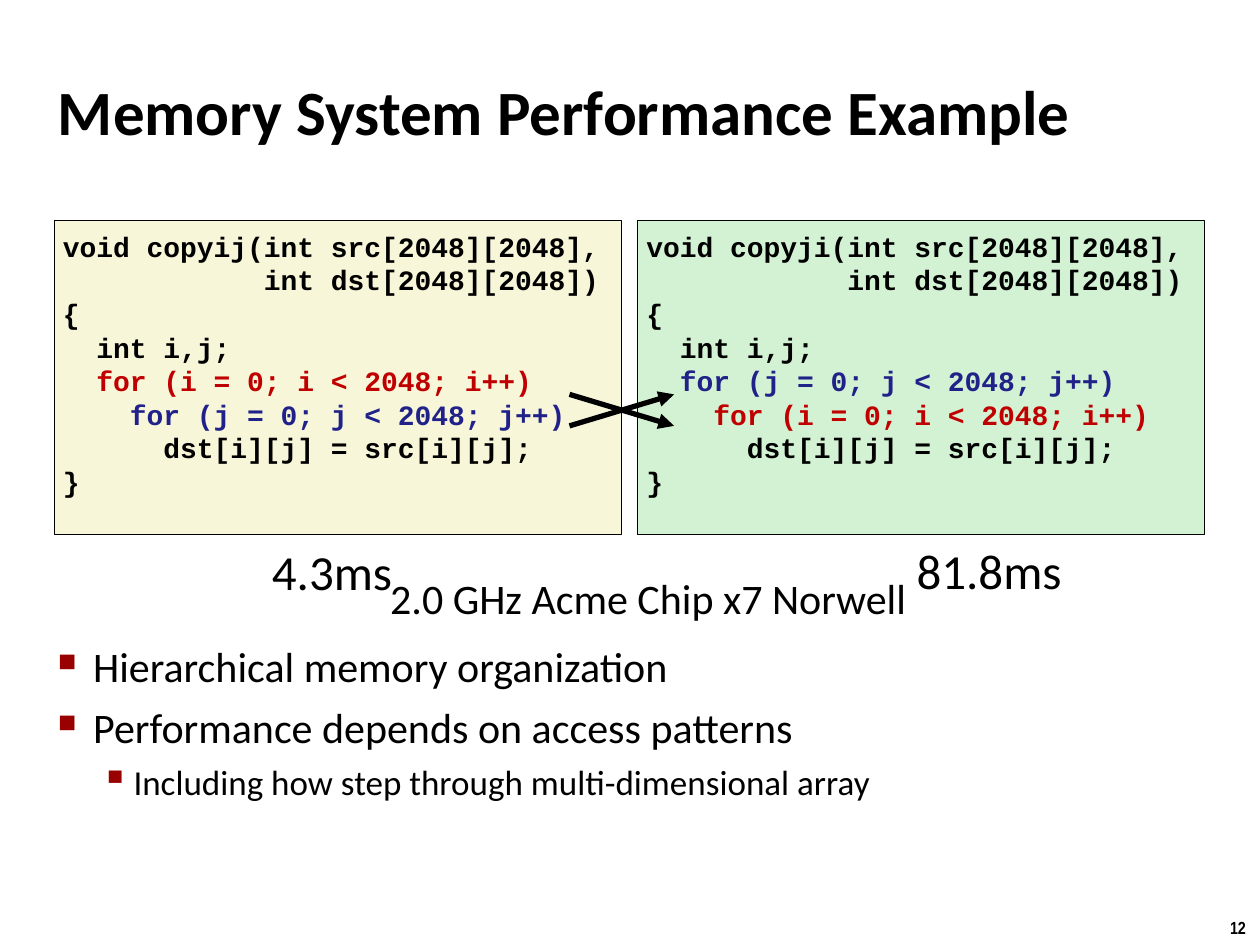
from lxml.etree import SubElement
from pptx import Presentation
from pptx.dml.color import RGBColor
from pptx.enum.shapes import MSO_CONNECTOR, MSO_SHAPE
from pptx.enum.text import MSO_ANCHOR as Anchor, MSO_AUTO_SIZE as AutoSize, PP_ALIGN as Align
from pptx.oxml.ns import qn
from pptx.util import Inches, Pt

BLACK, RED, BLUE, BULLET_RED = "000000", "C00000", "21218A", "990000"
CREAM, MINT = "F8F6D9", "D3F2D3"
BODY_FONT, CODE_FONT, NUMBER_FONT = "Calibri", "Courier New", "Arial Narrow"
LEFT, CONTENT_WIDTH = 0.42, 9.17
CODE_TOP, CODE_WIDTH, CODE_HEIGHT = 1.75, 4.5, 2.49
LOOP_COLORS = {"i": RED, "j": BLUE}


def rgb(value):
    return RGBColor.from_string(value)


class SlideBuilder:
    def __init__(self, slide):
        self.slide = slide

    def style(self, font, size, name=BODY_FONT, bold=False, color=BLACK):
        font.name, font.size, font.bold = name, Pt(size), bold
        font.color.rgb = rgb(color)

    def frame(self, shape, inset, wrap=True, anchor=Anchor.TOP):
        """Set the margins and wrapping of a shape's text and return its frame."""
        frame = shape.text_frame
        frame.auto_size = AutoSize.NONE
        frame.word_wrap = wrap
        frame.vertical_anchor = anchor
        frame.margin_left = frame.margin_right = Inches(inset)
        frame.margin_top = frame.margin_bottom = Inches(inset)
        return frame

    def title(self, text, left, top, width, height):
        title = self.slide.shapes.title
        title.left, title.top = Inches(left), Inches(top)
        title.width, title.height = Inches(width), Inches(height)
        frame = self.frame(title, 0.04, anchor=Anchor.MIDDLE)
        frame.text = text
        heading = frame.paragraphs[0]
        heading.alignment = Align.LEFT
        self.style(heading.font, 36, bold=True)

    def label(self, text, left, top, width, height, size, **font):
        """Add one centred line of text."""
        box = self.slide.shapes.add_textbox(
            Inches(left), Inches(top), Inches(width), Inches(height))
        frame = self.frame(box, 0.04, wrap=False)
        frame.text = text
        line = frame.paragraphs[0]
        line.alignment = Align.CENTER
        self.style(line.font, size, **font)

    def bullets(self, items, levels, left, top, width, height):
        box = self.slide.shapes.add_textbox(
            Inches(left), Inches(top), Inches(width), Inches(height))
        frame = self.frame(box, 0.04)
        for number, (level, text) in enumerate(items):
            item = frame.add_paragraph() if number else frame.paragraphs[0]
            size, before, margin, hanging, mark, percent = levels[level]
            item.text, item.level, item.space_before = text, level, Pt(before)
            self.style(item.font, size)
            props = item._p.get_or_add_pPr()
            props.set("marL", str(Inches(margin)))
            props.set("indent", str(-Inches(hanging)))
            bullet_color = SubElement(props, qn("a:buClr"))
            SubElement(bullet_color, qn("a:srgbClr"), val=BULLET_RED)
            SubElement(props, qn("a:buSzPct"), val=str(percent * 1000))
            SubElement(props, qn("a:buChar"), char=mark)

    def code(self, lines, left, fill):
        """Add a code panel from (indent, text, colour) lines."""
        panel = self.slide.shapes.add_shape(
            MSO_SHAPE.RECTANGLE, Inches(left), Inches(CODE_TOP),
            Inches(CODE_WIDTH), Inches(CODE_HEIGHT))
        panel.shadow.inherit = False
        panel.fill.solid()
        panel.fill.fore_color.rgb = rgb(fill)
        panel.line.color.rgb = rgb(BLACK)
        panel.line.width = Pt(0.5)
        frame = self.frame(panel, 0.07)
        for number, (indent, text, color) in enumerate(lines):
            line = frame.add_paragraph() if number else frame.paragraphs[0]
            line.text = " " * indent + text
            line.alignment = Align.LEFT
            self.style(line.font, 16, CODE_FONT, True, color)

    def arrow(self, x1, y1, x2, y2):
        arrow = self.slide.shapes.add_connector(
            MSO_CONNECTOR.STRAIGHT, Inches(x1), Inches(y1), Inches(x2), Inches(y2))
        arrow.line.color.rgb = rgb(BLACK)
        arrow.line.width = Pt(3)
        SubElement(arrow.line._get_or_add_ln(), qn("a:tailEnd"), type="triangle")
        SubElement(arrow._element.spPr, qn("a:effectLst"))


def copy_function(outer, inner):
    """Code lines of the array copy with the given loop order."""
    def loop(var):
        return f"for ({var} = 0; {var} < 2048; {var}++)"

    return [
        (0, f"void copy{outer}{inner}(int src[2048][2048],", BLACK),
        (12, "int dst[2048][2048])", BLACK),
        (0, "{", BLACK),
        (2, "int i,j;", BLACK),
        (2, loop(outer), LOOP_COLORS[outer]),
        (4, loop(inner), LOOP_COLORS[inner]),
        (6, "dst[i][j] = src[i][j];", BLACK),
        (0, "}", BLACK),
    ]


def main():
    deck = Presentation()
    deck.slide_width, deck.slide_height = Inches(10), Inches(7.5)
    page = SlideBuilder(deck.slides.add_slide(deck.slide_layouts[5]))

    page.title("Memory System Performance Example", LEFT, 0.28, CONTENT_WIDTH, 1.19)
    # size, space before, margin, hanging indent, mark, mark size in percent
    levels = [(24, 6, 0.28, 0.28, "■", 60), (20, 5, 0.6, 0.26, "▪", 110)]
    page.bullets([
        (0, "Hierarchical memory organization"),
        (0, "Performance depends on access patterns"),
        (1, "Including how step through multi-dimensional array"),
    ], levels, LEFT, 5.04, CONTENT_WIDTH, 2.43)

    page.code(copy_function("j", "i"), 5.06, MINT)
    page.code(copy_function("i", "j"), 0.43, CREAM)
    upper, lower = 3.13, 3.38
    for start, end in ((upper, lower), (lower, upper)):
        page.arrow(4.52, start, 5.35, end)

    page.label("81.8ms", 7.15, 4.25, 1.4, 0.55, 28)
    page.label("4.3ms", 1.99, 4.26, 1.29, 0.55, 28)
    page.label("2.0 GHz Acme Chip x7 Norwell", 2.86, 4.5, 4.57, 0.48, 24)
    page.label("12", 9.65, 7.24, 0.35, 0.25, 10, name=NUMBER_FONT, bold=True)

    deck.save("out.pptx")


if __name__ == "__main__":
    main()
